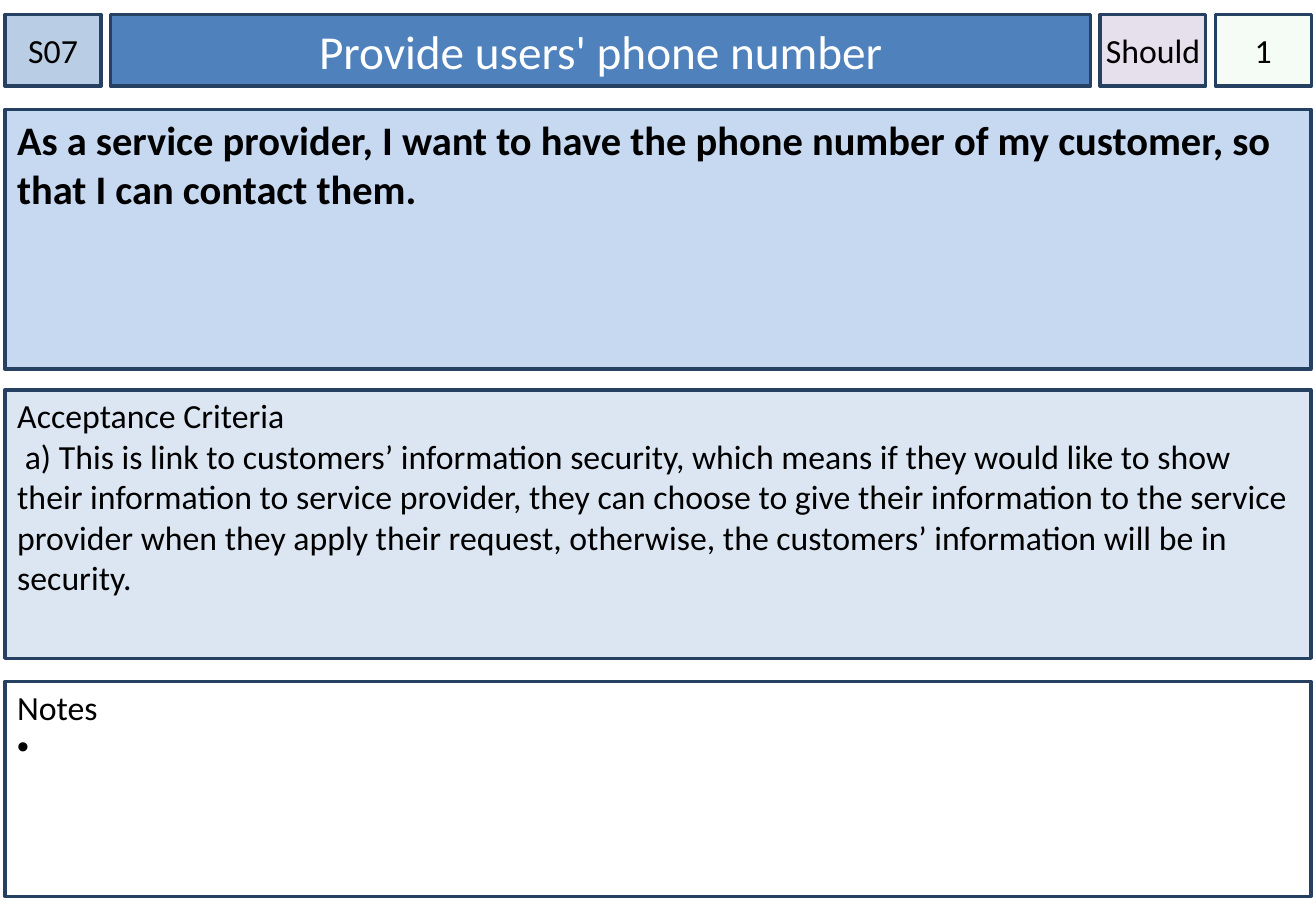
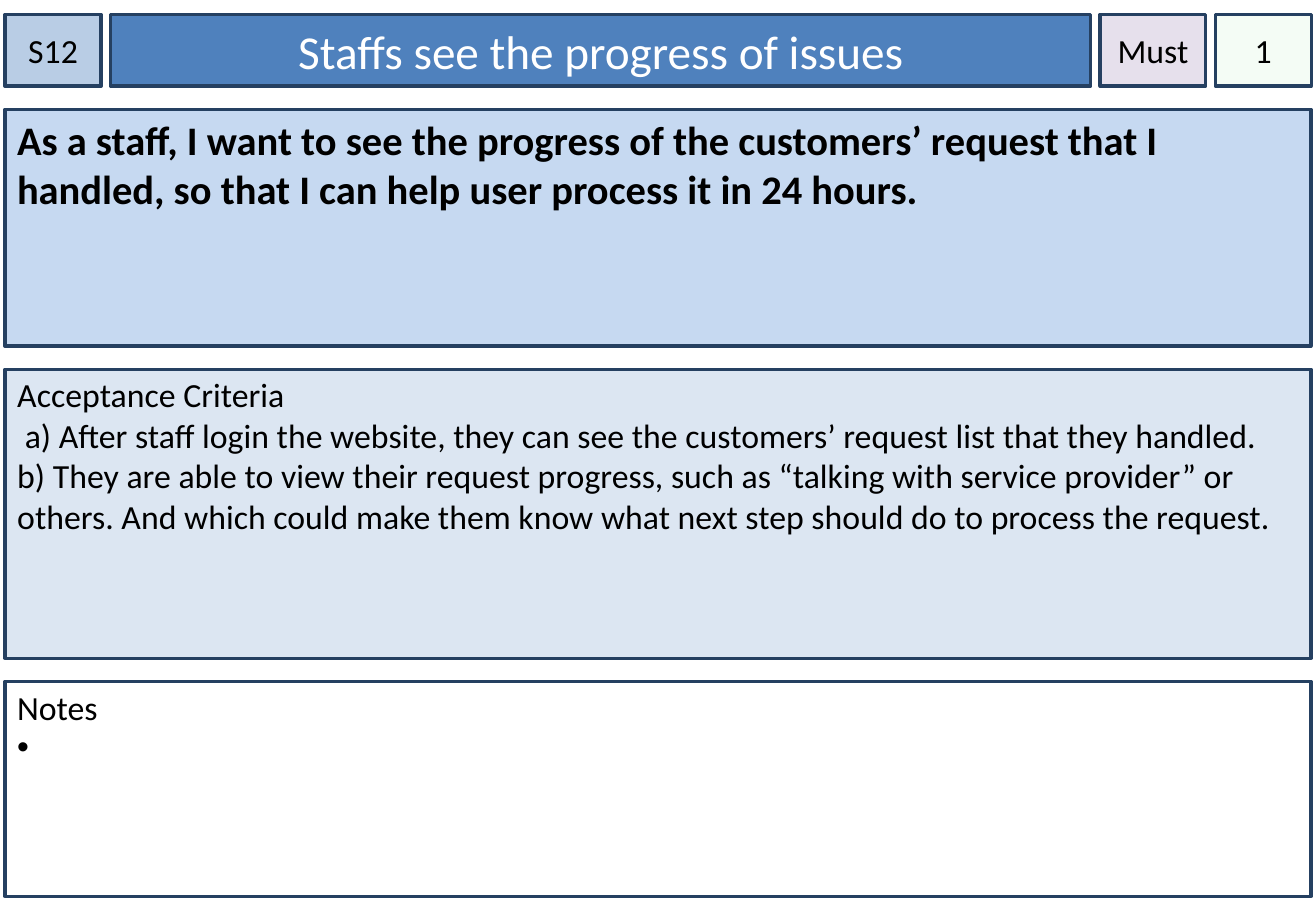
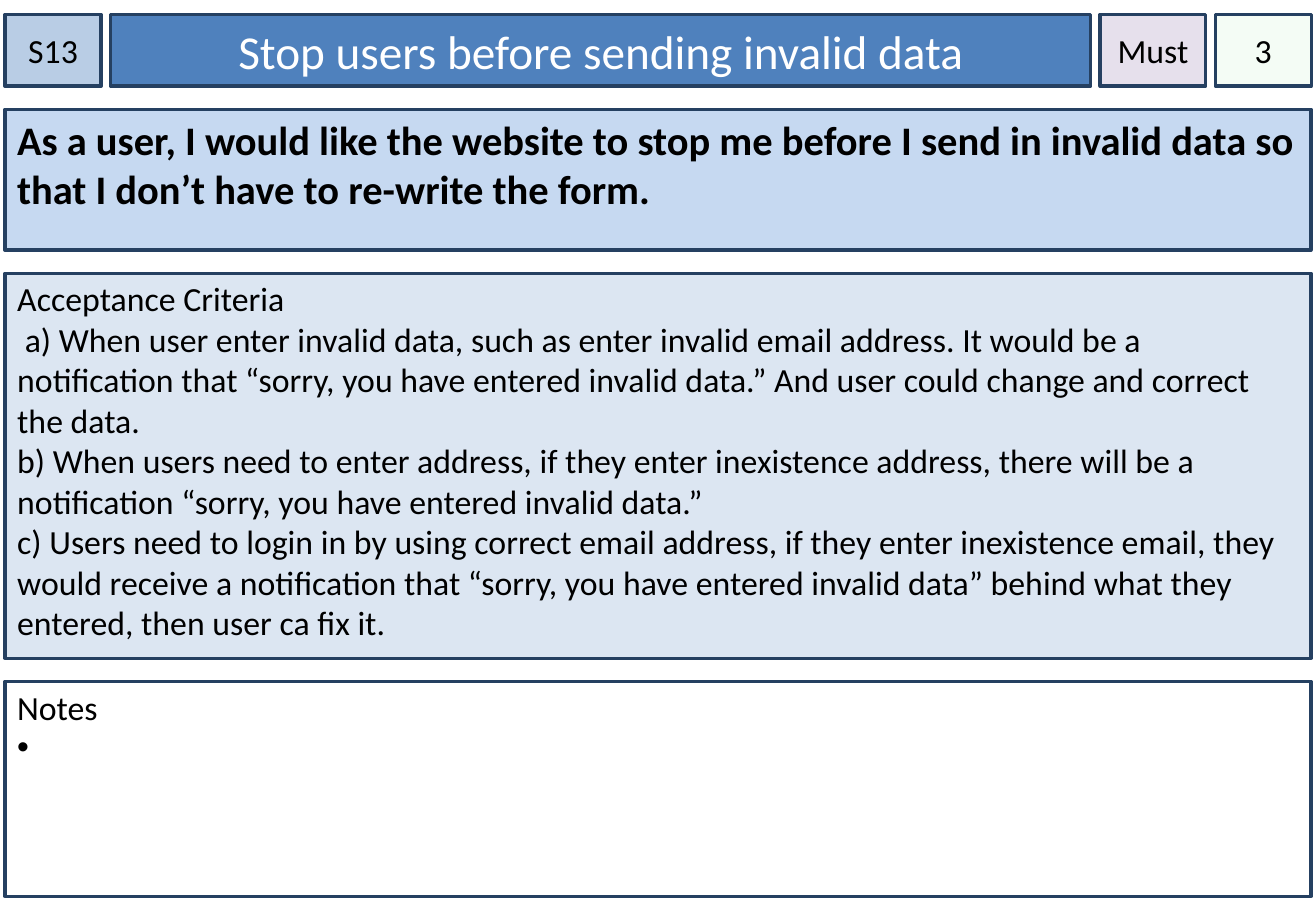
from lxml import etree
from pptx import Presentation
from pptx import util as u
from pptx.dml.color import RGBColor
from pptx.enum import shapes, text
from pptx.oxml.ns import qn

FONT = "Calibri"
OUTLINE, BLACK, WHITE = "254061", "000000", "FFFFFF"
CODE_FILL, TITLE_FILL = "B9CDE5", "4F81BD"
PRIORITY_FILL, ESTIMATE_FILL = "E6E0EC", "CCF0CD"
STORY_FILL, CRITERIA_FILL = "C6D9F1", "DCE6F2"

LEFT, CARD_WIDTH = 3, 774
HEADER_TOP, HEADER_HEIGHT, HEADER_GAP = 8.6, 42.5, 5.6
HEADER_WIDTHS = (56.9, 581, 62.6, 56.9)
STORY_TOP, CRITERIA_BOTTOM = 64.8, 390.2
NOTES_TOP, NOTES_HEIGHT = 403.9, 127.5
BADGE_INSETS = (0, 3.6, 0, 3.6)
STORY_INSETS = (7.2, 3.6, 7.2, 3.6)
LIST_INSETS = (7.2, 2.9, 7.2, 3.6)
FIRST_ITEM_INDENT, BULLET_INDENT = 4.5, 14.4

CARDS = [
    {
        "code": "S07", "title": "Provide users' phone number",
        "priority": "Should", "estimate": "1",
        "story_height": 154.1, "criteria_top": 231.1,
        "story": "As a service provider, I want to have the phone number of my customer, "
                 "so that I can contact them.",
        "criteria": [
            "a) This is link to customers’ information security, which means if they would "
            "like to show their information to service provider, they can choose to give "
            "their information to the service provider when they apply their request, "
            "otherwise, the customers’ information will be in security.",
        ],
    },
    {
        "code": "S12", "title": "Staffs see the progress of issues",
        "priority": "Must", "estimate": "1",
        "story_height": 140.4, "criteria_top": 218.9,
        "story": "As a staff, I want to see the progress of the customers’ request that I "
                 "handled, so that I can help user process it in 24 hours.",
        "criteria": [
            "a) After staff login the website, they can see the customers’ request list "
            "that they handled.",
            "b) They are able to view their request progress, such as “talking with service "
            "provider” or others. And which could make them know what next step should do "
            "to process the request.",
        ],
    },
    {
        "code": "S13", "title": "Stop users before sending invalid data",
        "priority": "Must", "estimate": "3",
        "story_height": 83.5, "criteria_top": 162,
        "story": "As a user, I would like the website to stop me before I send in invalid "
                 "data so that I don’t have to re-write the form.",
        "criteria": [
            "a) When user enter invalid data, such as enter invalid email address. It would "
            "be a notification that “sorry, you have entered invalid data.” And user could "
            "change and correct the data.",
            "b) When users need to enter address, if they enter inexistence address, there "
            "will be a notification “sorry, you have entered invalid data.”",
            "c) Users need to login in by using correct email address, if they enter "
            "inexistence email, they would receive a notification that “sorry, you have "
            "entered invalid data” behind what they entered, then user ca fix it.",
        ],
    },
]


def rgb(value):
    """Return the colour for a hex string."""
    return RGBColor.from_string(value)


def style_box(shape, box, fill):
    """Place a shape and give it the card fill and outline."""
    shape.left, shape.top, shape.width, shape.height = (u.Pt(length) for length in box)
    shape.fill.solid()
    shape.fill.fore_color.rgb = rgb(fill)
    shape.line.color.rgb = rgb(OUTLINE)
    shape.line.width = u.Pt(2)


def set_text(shape, lines, size, color=BLACK, bold=False, centred=False,
             insets=STORY_INSETS, wrap=True):
    """Write one paragraph per line in a single format."""
    frame = shape.text_frame
    frame.text = "\n".join(lines)
    frame.auto_size = text.MSO_AUTO_SIZE.NONE
    frame.word_wrap = wrap
    frame.vertical_anchor = text.MSO_ANCHOR.MIDDLE if centred else text.MSO_ANCHOR.TOP
    (frame.margin_left, frame.margin_top,
     frame.margin_right, frame.margin_bottom) = (u.Pt(inset) for inset in insets)
    for paragraph in frame.paragraphs:
        paragraph.alignment = text.PP_ALIGN.CENTER if centred else text.PP_ALIGN.LEFT
        paragraph.space_before = u.Pt(0)
        for run in paragraph.runs:
            run.font.name = FONT
            run.font.size = u.Pt(size)
            run.font.bold = bold
            run.font.color.rgb = rgb(color)


def set_indent(paragraph, margin, indent, bullet=None):
    """Set the left margin, first-line indent and bullet of a paragraph."""
    properties = paragraph._p.get_or_add_pPr()
    properties.set("marL", str(u.Pt(margin)))
    properties.set("indent", str(u.Pt(indent)))
    if bullet:
        etree.SubElement(properties, qn("a:buFont")).set("typeface", "Arial")
        etree.SubElement(properties, qn("a:buChar")).set("char", bullet)
    else:
        etree.SubElement(properties, qn("a:buNone"))


def set_opacity(shape, percent):
    """Make the solid fill of a shape see-through."""
    color = shape._element.spPr.find(qn("a:solidFill"))[0]
    etree.SubElement(color, qn("a:alpha")).set("val", str(percent * 1000))


def add_box(slide, box, fill):
    """Add an outlined rectangle without a shadow."""
    shape = slide.shapes.add_shape(
        shapes.MSO_SHAPE.RECTANGLE, *(u.Pt(length) for length in box))
    shape.shadow.inherit = False
    style_box(shape, box, fill)
    return shape


def add_badge(slide, box, fill, label, wrap=True):
    """Add a small header box with a centred label."""
    badge = add_box(slide, box, fill)
    set_text(badge, [label], 20, centred=True, insets=BADGE_INSETS, wrap=wrap)
    return badge


def header_boxes():
    """Return the boxes of the header row, from left to right."""
    return [(LEFT + sum(HEADER_WIDTHS[:i]) + i * HEADER_GAP, HEADER_TOP, width, HEADER_HEIGHT)
            for i, width in enumerate(HEADER_WIDTHS)]


def add_header(slide, card):
    """Fill the header row: code, title, priority and estimate."""
    code_box, title_box, priority_box, estimate_box = header_boxes()
    add_badge(slide, code_box, CODE_FILL, card["code"])
    style_box(slide.shapes.title, title_box, TITLE_FILL)
    set_text(slide.shapes.title, [card["title"]], 28, color=WHITE, centred=True)
    add_badge(slide, priority_box, PRIORITY_FILL, card["priority"], wrap=False)
    estimate = add_badge(slide, estimate_box, ESTIMATE_FILL, card["estimate"])
    set_opacity(estimate, 20)


def add_story(slide, card):
    """Add the user story panel."""
    story = add_box(slide, (LEFT, STORY_TOP, CARD_WIDTH, card["story_height"]), STORY_FILL)
    set_text(story, [card["story"]], 24, bold=True)


def fill_criteria(slide, card):
    """Fill the body placeholder with the acceptance criteria."""
    body, top = slide.placeholders[1], card["criteria_top"]
    style_box(body, (LEFT, top, CARD_WIDTH, CRITERIA_BOTTOM - top), CRITERIA_FILL)
    set_text(body, ["Acceptance Criteria", *card["criteria"]], 20, insets=LIST_INSETS)
    for i, paragraph in enumerate(body.text_frame.paragraphs):
        set_indent(paragraph, 0, FIRST_ITEM_INDENT if i == 1 else 0)


def add_notes_panel(slide):
    """Add the notes panel with one open bullet."""
    panel = add_box(slide, (LEFT, NOTES_TOP, CARD_WIDTH, NOTES_HEIGHT), WHITE)
    set_text(panel, ["Notes", " "], 20, insets=LIST_INSETS)
    set_indent(panel.text_frame.paragraphs[1], BULLET_INDENT, -BULLET_INDENT, "•")


def main():
    """Build one slide per story card."""
    presentation = Presentation()
    presentation.slide_width, presentation.slide_height = u.Pt(780), u.Pt(540)
    for card in CARDS:
        slide = presentation.slides.add_slide(presentation.slide_layouts[1])
        add_header(slide, card)
        add_story(slide, card)
        fill_criteria(slide, card)
        add_notes_panel(slide)
    presentation.save("out.pptx")


if __name__ == "__main__":
    main()
